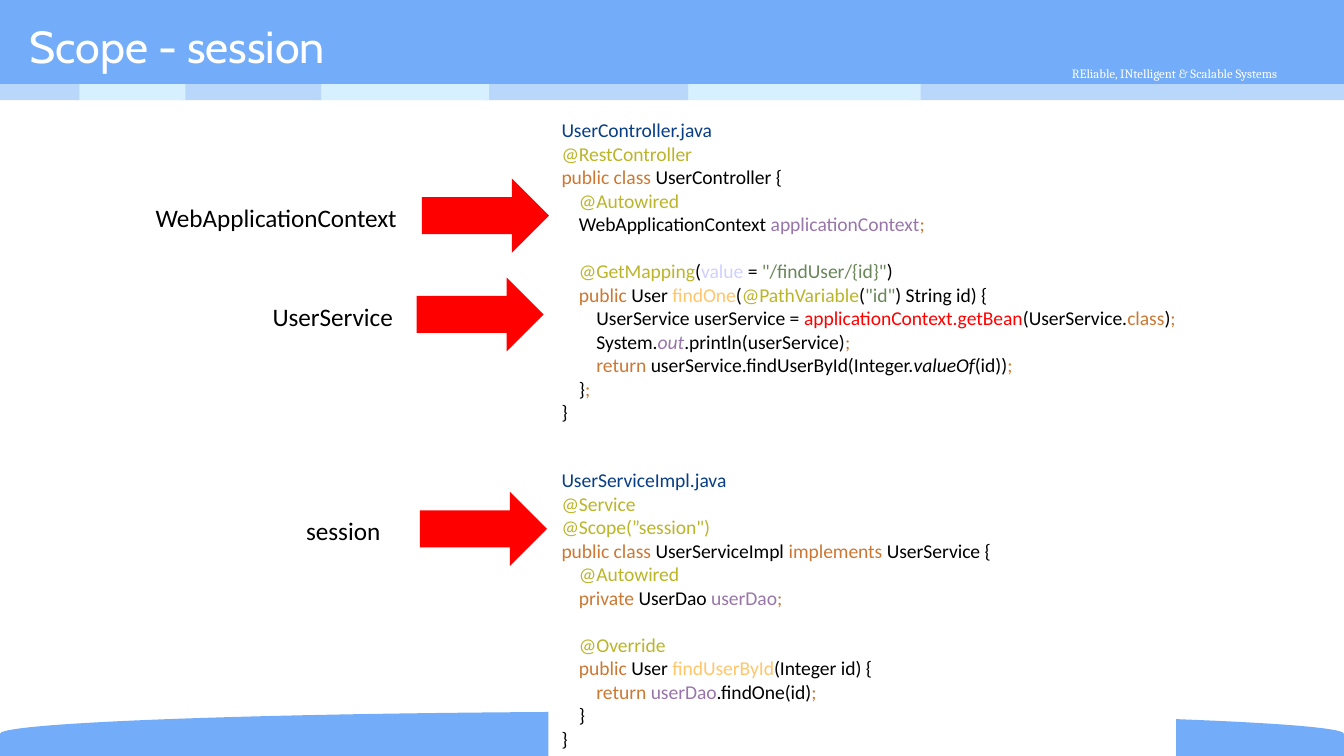
from dataclasses import dataclass
from typing import NamedTuple

from pptx import Presentation
from pptx.dml.color import RGBColor
from pptx.enum.shapes import MSO_SHAPE
from pptx.enum.text import MSO_ANCHOR, PP_ALIGN
from pptx.util import Inches, Pt

WHITE = RGBColor(0xFF, 0xFF, 0xFF)
BLACK = RGBColor(0x00, 0x00, 0x00)
RED = RGBColor(0xFF, 0x00, 0x00)
BLUE = RGBColor(0x73, 0xAC, 0xF8)
MID_BLUE = RGBColor(0xB9, 0xD6, 0xFB)
PALE_BLUE = RGBColor(0xD6, 0xF0, 0xFF)
FILE = RGBColor(0x07, 0x3E, 0x87)
ANNOTATION = RGBColor(0xBB, 0xB5, 0x29)
KEYWORD = RGBColor(0xCC, 0x78, 0x32)
FIELD = RGBColor(0x98, 0x76, 0xAA)
METHOD = RGBColor(0xFF, 0xC6, 0x6D)
STRING = RGBColor(0x6A, 0x87, 0x59)
ATTRIBUTE = RGBColor(0xD0, 0xD0, 0xFF)

COLS, ROWS = 100, 56.25
CELL = Inches(0.1)
INDENT = Inches(0.13)
LINE_GAP = Pt(12.6)


class Box(NamedTuple):
    col: float
    row: float
    cols: float
    rows: float


class Run(NamedTuple):
    text: str
    color: RGBColor = BLACK
    italic: bool = False


@dataclass(frozen=True)
class Line:
    runs: tuple[Run, ...]
    level: int = 0
    gap: bool = False


@dataclass(frozen=True)
class Pointer:
    label: str
    label_box: Box
    arrow_col: float
    arrow_row: float


def line(*runs: tuple, level: int = 0, gap: bool = False) -> Line:
    return Line(tuple(Run(*r) for r in runs), level, gap)


def add_block(s, kind: MSO_SHAPE, box: Box, color: RGBColor):
    sp = s.shapes.add_shape(kind, *(int(v * CELL) for v in box))
    sp.shadow.inherit = False
    sp.fill.solid()
    sp.fill.fore_color.rgb = color
    sp.line.fill.background()
    return sp


def add_text(s, box: Box, lines: tuple[Line, ...], size: float, font: str,
             align: PP_ALIGN = PP_ALIGN.LEFT, anchor: MSO_ANCHOR = MSO_ANCHOR.TOP):
    sp = s.shapes.add_textbox(*(int(v * CELL) for v in box))
    tf = sp.text_frame
    tf.word_wrap = True
    tf.vertical_anchor = anchor
    for i, item in enumerate(lines):
        p = tf.paragraphs[0] if i == 0 else tf.add_paragraph()
        p.alignment = align
        if item.level:
            p._p.get_or_add_pPr().set("marL", str(item.level * INDENT))
        if item.gap:
            p.space_before = LINE_GAP
        for run in item.runs:
            r = p.add_run()
            r.text = run.text
            r.font.size = Pt(size)
            r.font.name = font
            r.font.italic = run.italic
            r.font.color.rgb = run.color
    return sp


def add_band(s, starts: tuple[float, ...], ends: tuple[float, ...]) -> None:
    for i, (start, end) in reversed(list(enumerate(zip(starts, ends)))):
        color = PALE_BLUE if i % 2 else MID_BLUE
        add_block(s, MSO_SHAPE.RECTANGLE, Box(start, 6.25, end - start, 1.2), color)


def add_pointer(s, pointer: Pointer) -> None:
    arrow = Box(pointer.arrow_col, pointer.arrow_row, 9.45, 5.5)
    add_block(s, MSO_SHAPE.RIGHT_ARROW, arrow, RED)
    add_text(s, pointer.label_box, (line((pointer.label,)),), 13.5, "Calibri")


CONTROLLER = (
    line(("UserController.java", FILE)),
    line(("@RestController", ANNOTATION)),
    line(("public class ", KEYWORD), ("UserController {",)),
    line(("@Autowired", ANNOTATION), level=1),
    line(("WebApplicationContext ",), ("applicationContext", FIELD), (";", KEYWORD), level=1),
    line(("@GetMapping", ANNOTATION), ("(",), ("value ", ATTRIBUTE), ("= ",),
         ('"/findUser/{id}"', STRING), (")",), level=1, gap=True),
    line(("public ", KEYWORD), ("User ",), ("findOne", METHOD), ("(",),
         ("@PathVariable", ANNOTATION), ("(",), ('"id"', STRING), (") String id) {",), level=1),
    line(("UserService userService = ",), ("applicationContext.getBean", RED),
         ("(UserService.",), ("class", KEYWORD), (")",), (";", KEYWORD), level=2),
    line(("System.",), ("out", FIELD, True), (".println(userService)",), (";", KEYWORD), level=2),
    line(("return ", KEYWORD), ("userService.findUserById(Integer.",),
         ("valueOf", BLACK, True), ("(id))",), (";", KEYWORD), level=2),
    line(("}",), (";", KEYWORD), level=1),
    line(("}",)),
)

SERVICE = (
    line(("UserServiceImpl.java", FILE)),
    line(("@Service", ANNOTATION)),
    line(('@Scope(”session")', ANNOTATION)),
    line(("public class ", KEYWORD), ("UserServiceImpl ",), ("implements ", KEYWORD),
         ("UserService {",)),
    line(("@Autowired", ANNOTATION), level=1),
    line(("private ", KEYWORD), ("UserDao ",), ("userDao", FIELD), (";", KEYWORD), level=1),
    line(("@Override", ANNOTATION), level=1, gap=True),
    line(("public ", KEYWORD), ("User ",), ("findUserById", METHOD), ("(Integer id) {",), level=1),
    line(("return ", KEYWORD), ("userDao", FIELD), (".findOne(id)",), (";", KEYWORD), level=2),
    line(("}",), level=1),
    line(("}",)),
)

POINTERS = (
    Pointer("session", Box(21.8, 37.85, 9.4, 3.3), 31.25, 36.6),
    Pointer("WebApplicationContext", Box(10.6, 14.55, 21.4, 3.3), 31.4, 13.3),
    Pointer("UserService", Box(19.3, 21.9, 12.1, 3.3), 31, 20.65),
)


def main() -> None:
    prs = Presentation()
    prs.slide_width = int(COLS * CELL)
    prs.slide_height = int(ROWS * CELL)
    s = prs.slides.add_slide(prs.slide_layouts[6])

    footer = add_block(s, MSO_SHAPE.FLOWCHART_DELAY, Box(48.35, 4.6, 3.3, COLS), BLUE)
    footer.rotation = 270
    add_block(s, MSO_SHAPE.RECTANGLE, Box(0, 0, COLS, 6.5), BLUE)
    add_text(s, Box(75.2, 4.4, 24.4, 2.1),
             (line(("REliable, INtelligent & Scalable Systems", WHITE)),),
             6.8, "Cambria", PP_ALIGN.CENTER)
    add_band(s, (0, 5.5, 13.3, 23.4, 35.9, 50.8, 67.7),
             (5.9, 13.8, 23.9, 36.4, 51.2, 68.5, COLS))
    add_text(s, Box(1.2, 1.15, 74.6, 4.5), (line(("Scope - session", WHITE)),),
             24, "Cabin", anchor=MSO_ANCHOR.MIDDLE)

    service = add_text(s, Box(40.8, 34.35, 46.7, 22.2), SERVICE, 10.5, "Calibri")
    service.fill.solid()
    service.fill.fore_color.rgb = WHITE
    add_text(s, Box(40.8, 8.3, 58.3, 24), CONTROLLER, 10.5, "Calibri")
    for pointer in POINTERS:
        add_pointer(s, pointer)

    prs.save("out.pptx")


if __name__ == "__main__":
    main()
